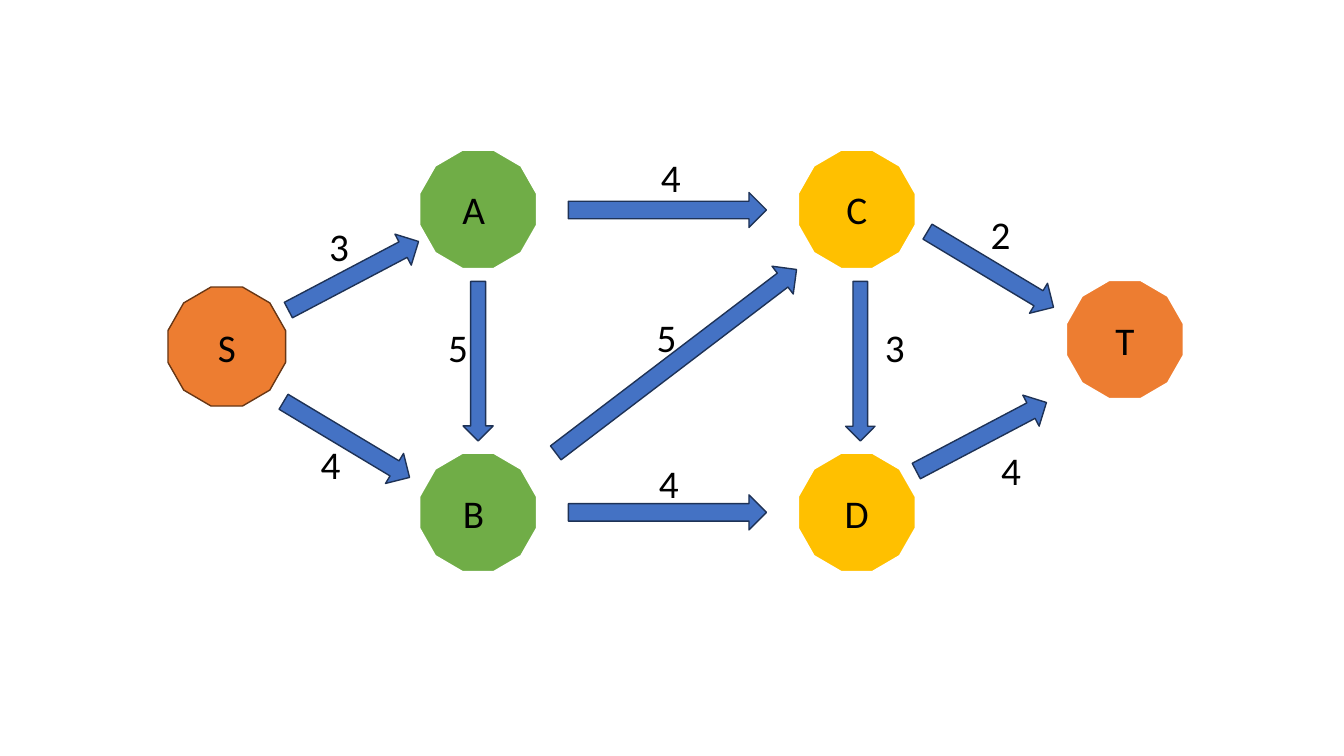
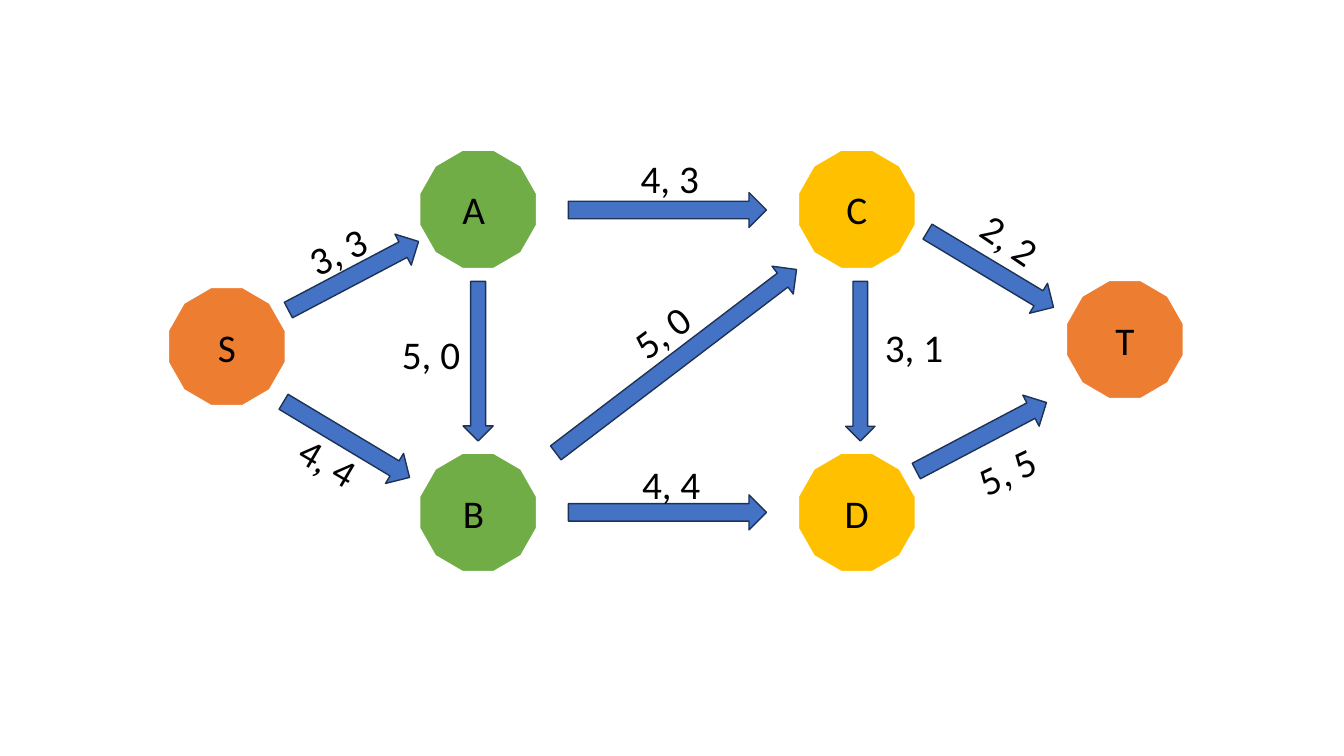
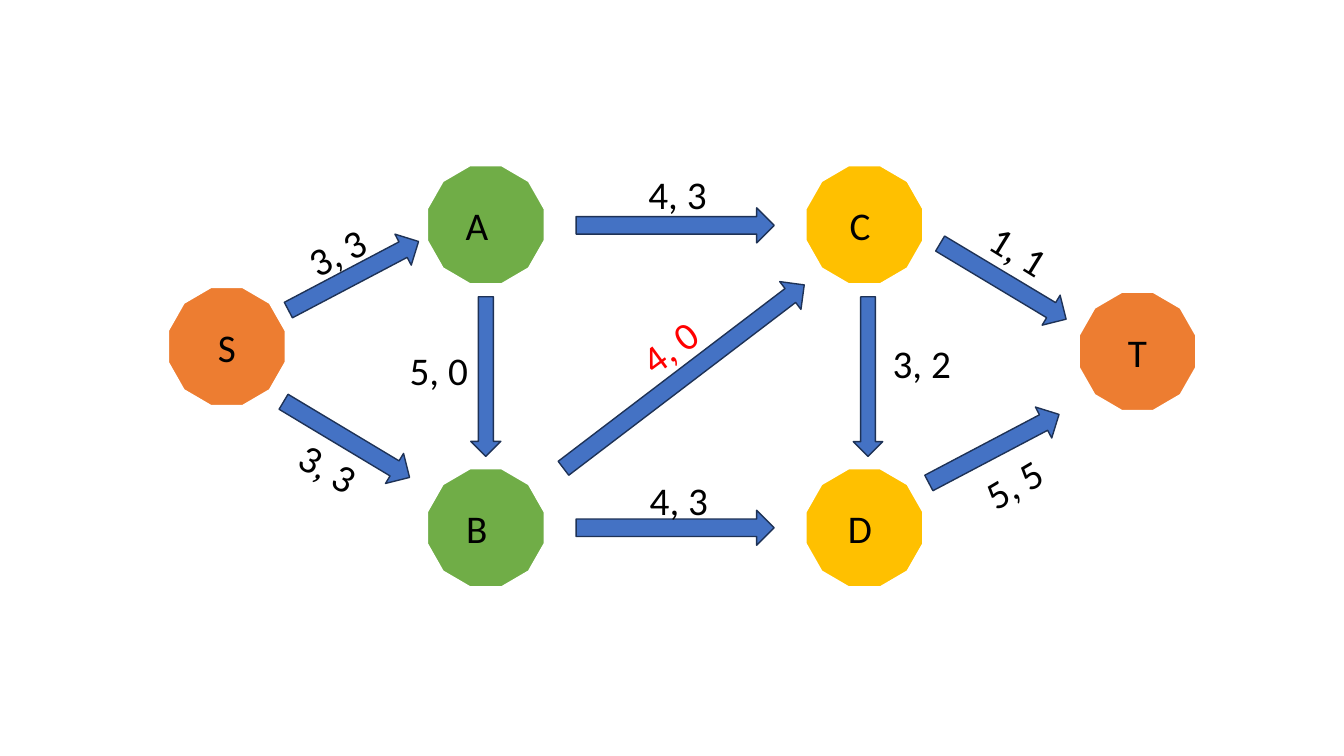
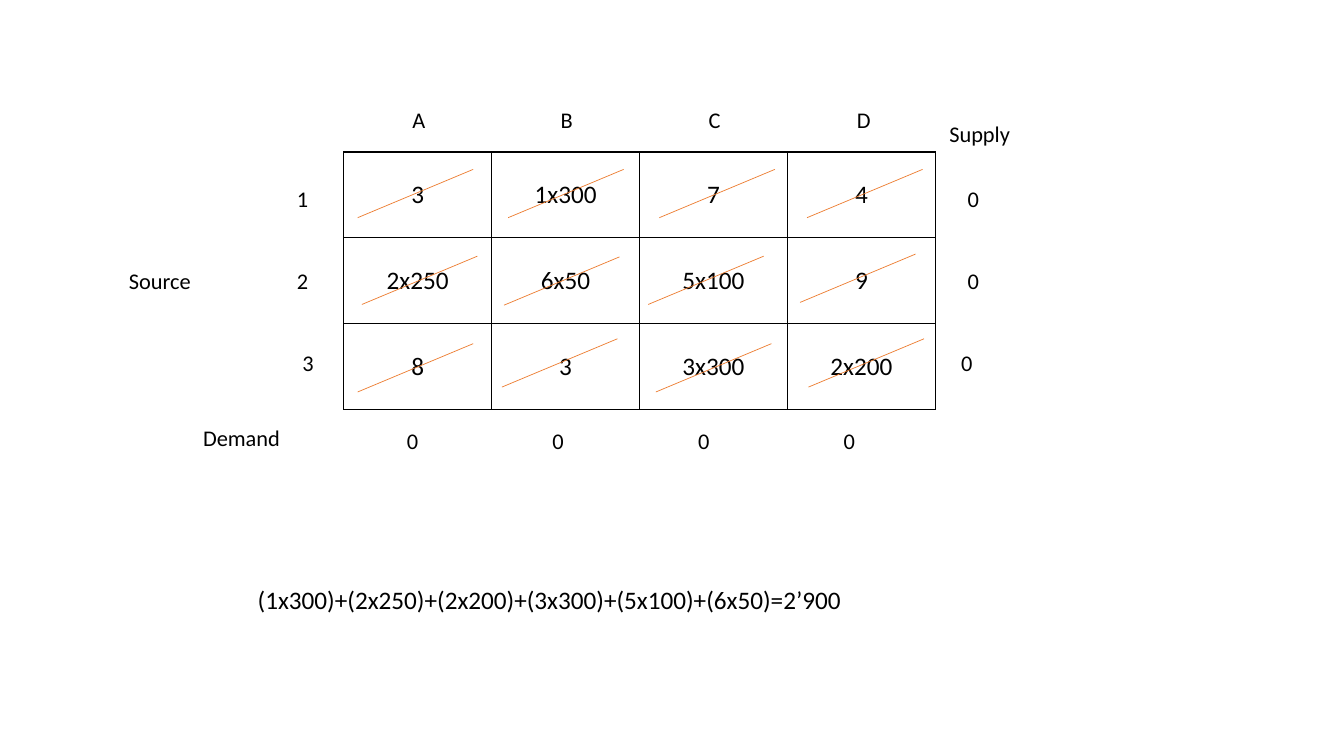
from math import atan2, degrees, hypot

from lxml.etree import SubElement
from pptx import Presentation
from pptx.dml.color import RGBColor
from pptx.enum.shapes import MSO_CONNECTOR, MSO_SHAPE
from pptx.enum.text import MSO_ANCHOR, MSO_AUTO_SIZE, PP_ALIGN
from pptx.oxml.ns import qn
from pptx.util import Pt

COLORS = {
    "text": "000000", "alert": "FF0000", "white": "FFFFFF",
    "green": "70AD47", "yellow": "FFC000", "orange": "ED7D31",
    "brown": "683715", "blue": "4472C4", "navy": "1E3256",
}

# name: (part of the network, left, top, fill)
NODES = {
    "A": ("middle", 299.5, 107, "green"),
    "B": ("middle", 299.5, 323.5, "green"),
    "D": ("middle", 570, 323.5, "yellow"),
    "C": ("middle", 570, 107, "yellow"),
    "S": ("left", 120, 205, "orange"),
    "T": ("right", 761.5, 200, "orange"),
}
# edge: (part of the network, tail x, tail y, head x, head y, thickness)
EDGES = {
    "BD": ("middle", 406, 366, 547.5, 366, 25),
    "AC": ("middle", 406, 150, 547.5, 150, 25),
    "CD": ("middle", 614.5, 201, 614.5, 315, 21),
    "AB": ("middle", 341.5, 201, 341.5, 315, 21.5),
    "BC": ("middle", 397, 323.5, 569, 192.5, 25),
    "SA": ("left", 206, 221.5, 299, 172.5, 25),
    "SB": ("left", 202.5, 287, 292.5, 341, 25),
    "DT": ("right", 654.5, 336.5, 747.5, 287.5, 25),
    "CT": ("right", 662.5, 165.5, 752.5, 219.5, 25),
}
# edge: (left, top, rotation) of its label
CAPACITY_PLACES = {
    "AC": (465, 106, 0), "BD": (463.5, 324.5, 0), "AB": (313, 227.5, 0),
    "BC": (462, 220.5, 0), "CD": (625, 227.5, 0), "SB": (222, 311, 0),
    "SA": (228, 155, 0), "CT": (700.5, 147, 0), "DT": (708, 315.5, 0),
}
FLOW_PLACES = {
    "AC": (450.5, 107, 0), "BD": (451.5, 325.5, 0), "AB": (280, 232.5, 0),
    "BC": (444.5, 216, 323.6), "CD": (625, 227.5, 0),
    "SB": (206.5, 309.5, 30.3), "SA": (213, 158.5, 334.5),
    "CT": (693.5, 151, 34.3), "DT": (691, 315.5, 334.4),
}
MIDDLE_SHIFT, RIGHT_SHIFT = (5.5, 11), (9, 8.5)
SHIFTED_PLACES = {
    **{edge: (x + MIDDLE_SHIFT[0], y + MIDDLE_SHIFT[1], turn)
       for edge, (x, y, turn) in FLOW_PLACES.items()},
    "SB": (206.5, 314, 30.2), "SA": (212.5, 159, 332.1),
    "CT": (700, 159, 31.7), "DT": (696, 324.5, 329.6),
}

COSTS = [
    ["3", "1x300", "7", "4"],
    ["2x250", "6x50", "5x100", "9"],
    ["8", "3", "3x300", "2x200"],
]
STRIKES = [
    (255.5, 121), (363, 121), (471, 121), (576.5, 121),
    (258.5, 183), (360, 183.5), (463, 183), (571.5, 181.5),
    (255.5, 245.5), (358.5, 242), (468.5, 245.5), (577.5, 242),
]


def rgb(name):
    return RGBColor.from_string(COLORS[name])


class Deck:
    font = "Calibri"

    def __init__(self):
        self.prs = Presentation()
        self.prs.slide_width, self.prs.slide_height = Pt(960), Pt(540)
        self.slide = None

    def new_slide(self):
        self.slide = self.prs.slides.add_slide(self.prs.slide_layouts[6])

    def add_run(self, tf, text, size, color="text", align=PP_ALIGN.LEFT):
        p = tf.paragraphs[0]
        p.alignment = align
        r = p.add_run()
        r.text = text
        r.font.name, r.font.size = self.font, Pt(size)
        r.font.color.rgb = rgb(color)

    def shape(self, kind, x, y, w, h, fill, line, line_width):
        sp = self.slide.shapes.add_shape(kind, Pt(x), Pt(y), Pt(w), Pt(h))
        sp.shadow.inherit = False
        sp.fill.solid()
        sp.fill.fore_color.rgb = rgb(fill)
        sp.line.color.rgb = rgb(line)
        sp.line.width = Pt(line_width)
        return sp

    def node(self, name, x, y, fill, outline=("white", 1.5), inset=0):
        """Draw a node; an extra right inset moves its letter to the left."""
        sp = self.shape(MSO_SHAPE.DODECAGON, x, y, 84, 85, fill, *outline)
        tf = sp.text_frame
        tf.vertical_anchor = MSO_ANCHOR.MIDDLE
        tf.margin_right = Pt(7.2 + inset)
        self.add_run(tf, name, 28, align=PP_ALIGN.CENTER)

    def arrow(self, x1, y1, x2, y2, thickness):
        """Draw a block arrow from its tail point to its tip."""
        length = hypot(x2 - x1, y2 - y1)
        left = (x1 + x2 - length) / 2
        top = (y1 + y2 - thickness) / 2
        sp = self.shape(MSO_SHAPE.RIGHT_ARROW, left, top, length, thickness,
                        "blue", "navy", 1)
        sp.rotation = degrees(atan2(y2 - y1, x2 - x1))

    def text(self, text, x, y, w, h=26.5, size=16, color="text", turn=0,
             wrap=True):
        sp = self.slide.shapes.add_textbox(Pt(x), Pt(y), Pt(w), Pt(h))
        sp.rotation = turn
        tf = sp.text_frame
        tf.word_wrap = wrap
        tf.auto_size = MSO_AUTO_SIZE.SHAPE_TO_FIT_TEXT
        self.add_run(tf, text, size, color)

    def strike(self, x, y):
        sp = self.slide.shapes.add_connector(
            MSO_CONNECTOR.STRAIGHT, Pt(x + 82.5), Pt(y), Pt(x), Pt(y + 34.5))
        sp.line.color.rgb = rgb("orange")
        sp.line.width = Pt(0.5)
        SubElement(sp._element.spPr, qn("a:effectLst"))

    def table(self, rows, x, y, col_width, row_height):
        frame = self.slide.shapes.add_table(
            len(rows), len(rows[0]), Pt(x), Pt(y),
            Pt(col_width * len(rows[0])), Pt(row_height * len(rows)))
        table = frame.table
        table.first_row = table.horz_banding = False
        for i, row in enumerate(rows):
            for j, value in enumerate(row):
                cell = table.cell(i, j)
                cell.vertical_anchor = MSO_ANCHOR.MIDDLE
                self.add_run(cell.text_frame, value, 18,
                             align=PP_ALIGN.CENTER)
                self.border(cell)
                cell.fill.background()

    def border(self, cell):
        props = cell._tc.get_or_add_tcPr()
        for side in ("lnL", "lnR", "lnT", "lnB"):
            ln = SubElement(props, qn("a:" + side), w=str(Pt(1)))
            fill = SubElement(ln, qn("a:solidFill"))
            SubElement(fill, qn("a:srgbClr"), val=COLORS["text"])


def network_slide(deck, labels, places, insets, shifts=None, outlines=None,
                  alerts=()):
    deck.new_slide()
    shifts, outlines = shifts or {}, outlines or {}
    for name, (part, x, y, fill) in NODES.items():
        dx, dy = shifts.get(part, (0, 0))
        deck.node(name, x + dx, y + dy, fill,
                  outlines.get(name, ("white", 1.5)), insets.get(name, 0))
    for part, x1, y1, x2, y2, thickness in EDGES.values():
        dx, dy = shifts.get(part, (0, 0))
        deck.arrow(x1 + dx, y1 + dy, x2 + dx, y2 + dy, thickness)
    for edge, label in labels.items():
        x, y, turn = places[edge]
        deck.text(label, x, y, 28.5 if len(label) == 1 else 57, 41, 28,
                  "alert" if edge in alerts else "text", turn, wrap=False)


def transport_slide(deck):
    deck.new_slide()
    deck.table(COSTS, 245.5, 108.5, 105.66, 61.4)
    for i, column in enumerate("ABCD"):
        deck.text(column, 287.5 + 105.8 * i, 72, 26.5)
        deck.text("0", 283.5 + 104 * i, 301.5, 46)
    for i, (number_x, supply_x) in enumerate(
            [(205, 684), (205, 684), (209, 679.5)]):
        y = 129 + 58.3 * i
        deck.text(str(i + 1), number_x, y, 24.5)
        deck.text("0", supply_x, y, 46)
    deck.text("Supply", 671, 82, 73)
    deck.text("Demand", 138, 299.5, 88.5)
    deck.text("Source", 85, 187.3, 75)
    for x, y in STRIKES:
        deck.strike(x, y)
    deck.text("(1x300)+(2x250)+(2x200)+(3x300)+(5x100)+(6x50)=2’900",
              177, 414, 436.5, 29, 18, wrap=False)


def main():
    deck = Deck()
    network_slide(
        deck,
        {"AC": "4", "BD": "4", "AB": "5", "BC": "5", "CD": "3",
         "SB": "4", "SA": "3", "CT": "2", "DT": "4"},
        CAPACITY_PLACES, {"A": 6.3, "B": 6.3},
        outlines={"S": ("brown", 1)})
    network_slide(
        deck,
        {"AC": "4, 3", "BD": "4, 4", "AB": "5, 0", "BC": "5, 0",
         "CD": "3, 1", "SB": "4, 4", "SA": "3, 3", "CT": "2, 2",
         "DT": "5, 5"},
        FLOW_PLACES, {"A": 6.3, "B": 6.3})
    network_slide(
        deck,
        {"AC": "4, 3", "BD": "4, 3", "AB": "5, 0", "BC": "4, 0",
         "CD": "3, 2", "SB": "3, 3", "SA": "3, 3", "CT": "1, 1",
         "DT": "5, 5"},
        SHIFTED_PLACES, {"A": 12.6, "B": 12.6, "C": 6.3, "D": 6.3},
        shifts={"middle": MIDDLE_SHIFT, "right": RIGHT_SHIFT},
        alerts=("BC",))
    transport_slide(deck)
    deck.prs.save("out.pptx")


if __name__ == "__main__":
    main()
